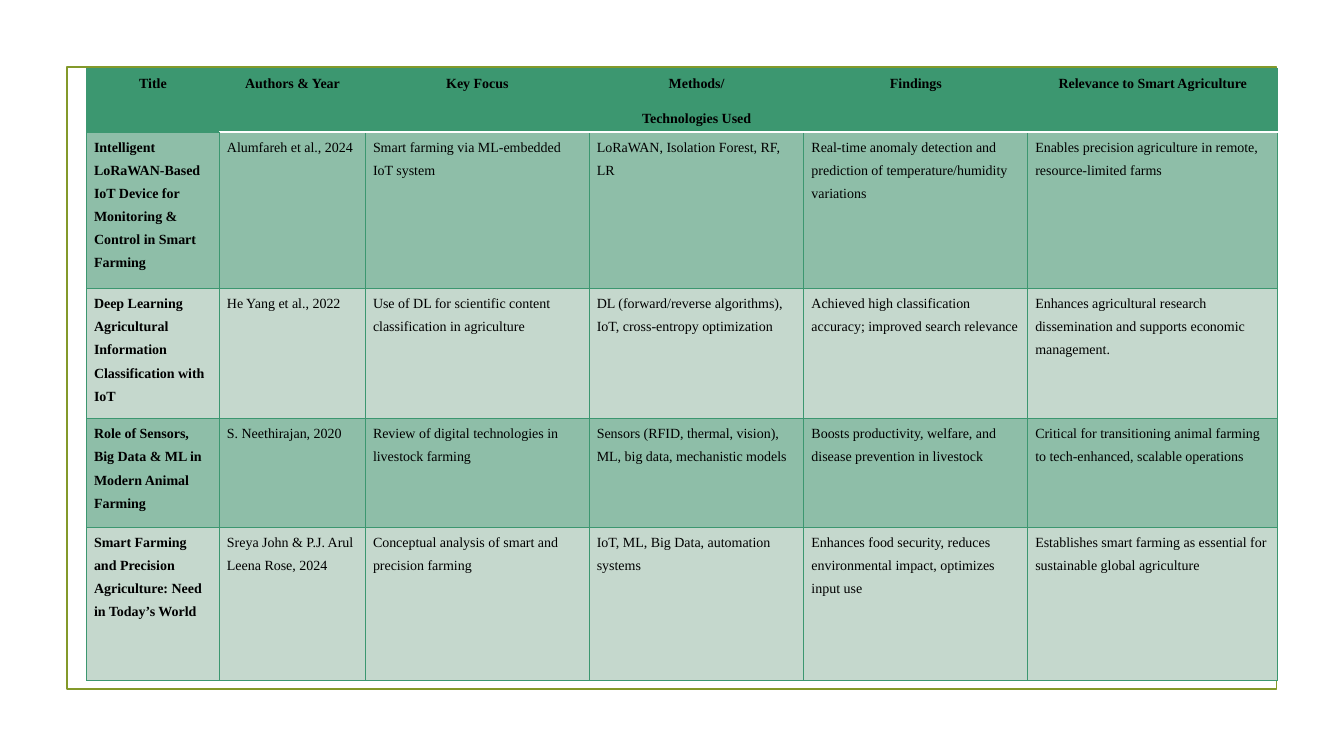
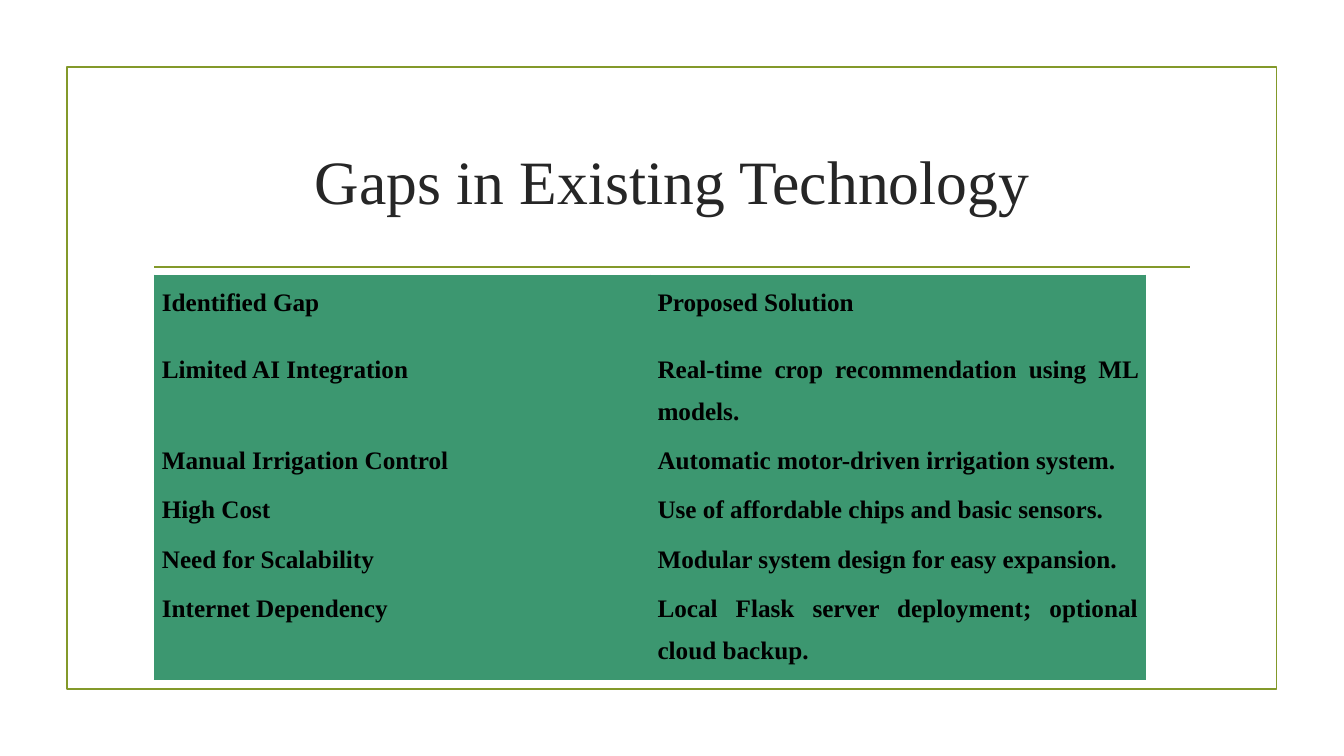
from dataclasses import dataclass
from typing import Any

import pptx
import pptx.dml.color
import pptx.enum.shapes
import pptx.enum.text
import pptx.oxml
import pptx.oxml.ns
import pptx.util

Cm = pptx.util.Cm
Pt = pptx.util.Pt
Align = pptx.enum.text.PP_ALIGN
Anchor = pptx.enum.text.MSO_ANCHOR


@dataclass(frozen=True)
class Theme:
    font: str = "Times New Roman"
    olive: str = "83992A"
    green: str = "3C9770"
    dark_band: str = "8EBEA8"
    light_band: str = "C5D8CD"
    white: str = "FFFFFF"
    black: str = "000000"
    title_color: str = "262626"
    title_size: int = 44
    gap_size: int = 18
    review_size: int = 10
    thin: float = 0.75
    thick: float = 1.25


THEME = Theme()


@dataclass(frozen=True)
class Border:
    color: str
    width: float


@dataclass(frozen=True)
class CellStyle:
    fill: str
    size: int
    bold: bool
    align: Any
    borders: dict[str, Border]


@dataclass(frozen=True)
class Grid:
    left: float
    top: float
    columns: list[float]
    rows: list[float]
    texts: list[list[str]]


REVIEW = Grid(2.18, 1.73, [3.35, 3.68, 5.64, 5.41, 5.64, 6.3], [1.6, 3.94, 3.28, 2.74, 3.86], [
    ["Title", "Authors & Year", "Key Focus", "Methods/\nTechnologies Used", "Findings",
     "Relevance to Smart Agriculture"],
    ["Intelligent LoRaWAN-Based IoT Device for Monitoring & Control in Smart Farming",
     "Alumfareh et al., 2024",
     "Smart farming via ML-embedded IoT system",
     "LoRaWAN, Isolation Forest, RF, LR",
     "Real-time anomaly detection and prediction of temperature/humidity variations",
     "Enables precision agriculture in remote, resource-limited farms"],
    ["Deep Learning Agricultural Information Classification with IoT",
     "He Yang et al., 2022",
     "Use of DL for scientific content classification in agriculture",
     "DL (forward/reverse algorithms), IoT, cross-entropy optimization",
     "Achieved high classification accuracy; improved search relevance",
     "Enhances agricultural research dissemination and supports economic management."],
    ["Role of Sensors, Big Data & ML in Modern Animal Farming",
     "S. Neethirajan, 2020",
     "Review of digital technologies in livestock farming",
     "Sensors (RFID, thermal, vision), ML, big data, mechanistic models",
     "Boosts productivity, welfare, and disease prevention in livestock",
     "Critical for transitioning animal farming to tech-enhanced, scalable operations"],
    ["Smart Farming and Precision Agriculture: Need in Today’s World",
     "Sreya John & P.J. Arul Leena Rose, 2024",
     "Conceptual analysis of smart and precision farming",
     "IoT, ML, Big Data, automation systems",
     "Enhances food security, reduces environmental impact, optimizes input use",
     "Establishes smart farming as essential for sustainable global agriculture"],
])

GAPS = Grid(3.89, 6.93, [12.49] * 2, [1.7] + [1.24] * 4 + [2.49], [
    ["Identified Gap", "Proposed Solution"],
    ["Limited AI Integration", "Real-time crop recommendation using ML models."],
    ["Manual Irrigation Control", "Automatic motor-driven irrigation system."],
    ["High Cost", "Use of affordable chips and basic sensors."],
    ["Need for Scalability", "Modular system design for easy expansion."],
    ["Internet Dependency", "Local Flask server deployment; optional cloud backup."],
])


def rgb(color: str) -> pptx.dml.color.RGBColor:
    return pptx.dml.color.RGBColor.from_string(color)


def apply(target: Any, values: dict[str, Any]) -> None:
    """Set each named attribute of the target."""
    for name, value in values.items():
        setattr(target, name, value)


def format_paragraph(paragraph: Any, size: int, color: str, bold: bool, align: Any) -> None:
    paragraph.alignment = align
    apply(paragraph.font, {"name": THEME.font, "size": Pt(size), "bold": bold})
    paragraph.font.color.rgb = rgb(color)


def draw_line(line: Any) -> None:
    line.color.rgb = rgb(THEME.olive)
    line.width = Pt(THEME.thick)


def add_framed_slide(presentation: Any) -> Any:
    """Add a blank slide with the olive frame and the rule under the title."""
    slide = presentation.slides.add_slide(presentation.slide_layouts[6])
    frame = slide.shapes.add_shape(pptx.enum.shapes.MSO_SHAPE.RECTANGLE,
                                   Cm(1.69), Cm(1.69), Cm(30.48), Cm(15.67))
    frame.shadow.inherit = False
    frame.fill.background()
    draw_line(frame.line)
    rule = slide.shapes.add_connector(pptx.enum.shapes.MSO_CONNECTOR.STRAIGHT,
                                      Cm(3.89), Cm(6.73), Cm(30), Cm(6.73))
    draw_line(rule.line)
    properties = rule._element.spPr
    properties.append(properties.makeelement(pptx.oxml.ns.qn("a:effectLst"), {}))
    return slide


def add_title(slide: Any, text: str) -> None:
    box = slide.shapes.add_textbox(Cm(3.61), Cm(2.72), Cm(26.67), Cm(3.63))
    apply(box.text_frame, {"word_wrap": True, "vertical_anchor": Anchor.MIDDLE, "text": text})
    format_paragraph(box.text_frame.paragraphs[0], THEME.title_size, THEME.title_color,
                     False, Align.CENTER)


def set_border(cell: Any, side: str, border: Border) -> None:
    namespace = pptx.oxml.ns.nsdecls("a")
    cell._tc.get_or_add_tcPr().append(pptx.oxml.parse_xml(
        f'<a:ln{side} {namespace} w="{Pt(border.width)}"><a:solidFill>'
        f'<a:srgbClr val="{border.color}"/></a:solidFill></a:ln{side}>'))


def fill_cell(cell: Any, text: str, style: CellStyle) -> None:
    apply(cell, {"margin_left": Cm(0.19), "margin_right": Cm(0.19), "margin_top": 0,
                 "margin_bottom": 0, "vertical_anchor": Anchor.TOP, "text": text})
    for side in "LRTB":
        set_border(cell, side, style.borders[side])
    cell.fill.solid()
    cell.fill.fore_color.rgb = rgb(style.fill)
    paragraphs = cell.text_frame.paragraphs
    for paragraph in paragraphs:
        apply(paragraph, {"line_spacing": 1.5, "space_after": Pt(8)})
        format_paragraph(paragraph, style.size, THEME.black, style.bold, style.align)
    paragraphs[-1].space_after = Pt(0)


def review_style(row: int, column: int) -> CellStyle:
    green = Border(THEME.green, THEME.thin)
    borders = dict.fromkeys("LRTB", green)
    header = row == 0
    if row < 2 and column > 0:
        borders["B" if header else "T"] = Border(THEME.white, THEME.thick)
    if not header and column < 2:
        borders["R" if column == 0 else "L"] = Border(THEME.green, THEME.thick)
    band = THEME.dark_band if row % 2 else THEME.light_band
    return CellStyle(THEME.green if header else band, THEME.review_size,
                     header or column == 0, Align.CENTER if header else Align.LEFT, borders)


def gap_style(row: int, column: int) -> CellStyle:
    return CellStyle(THEME.green, THEME.gap_size, True, Align.JUSTIFY,
                     dict.fromkeys("LRTB", Border(THEME.green, THEME.thin)))


def add_grid(slide: Any, grid: Grid, style_of: Any) -> None:
    """Draw a table, taking each cell's style from its row and column."""
    table = slide.shapes.add_table(len(grid.rows), len(grid.columns), Cm(grid.left), Cm(grid.top),
                                   Cm(sum(grid.columns)), Cm(sum(grid.rows))).table
    apply(table, {"first_row": False, "horz_banding": False})
    for column, width in zip(table.columns, grid.columns):
        column.width = Cm(width)
    for row, height in zip(table.rows, grid.rows):
        row.height = Cm(height)
    for row, texts in enumerate(grid.texts):
        for column, text in enumerate(texts):
            fill_cell(table.cell(row, column), text, style_of(row, column))


def main() -> None:
    presentation = pptx.Presentation()
    apply(presentation, {"slide_width": Cm(33.87), "slide_height": Cm(19.05)})
    add_grid(add_framed_slide(presentation), REVIEW, review_style)
    gaps_slide = add_framed_slide(presentation)
    add_title(gaps_slide, "Gaps in Existing Technology")
    add_grid(gaps_slide, GAPS, gap_style)
    presentation.save("out.pptx")


if __name__ == "__main__":
    main()
